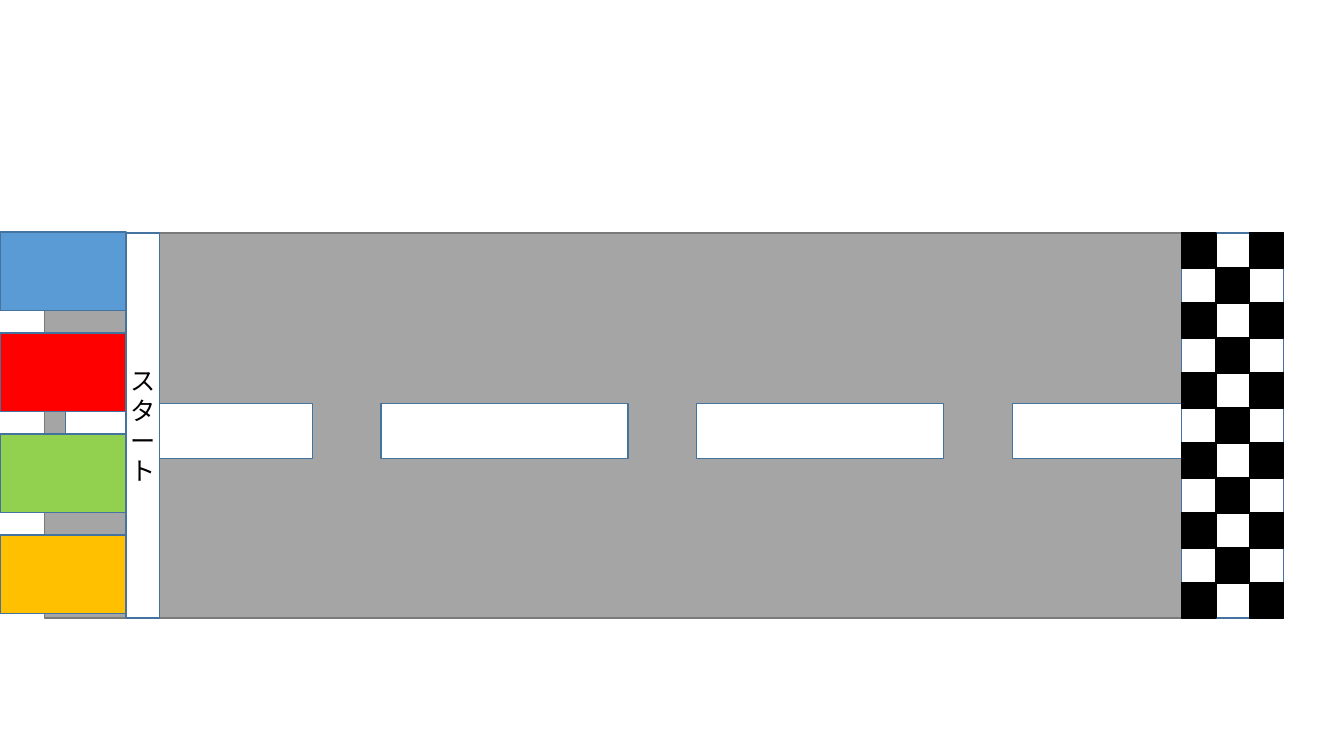
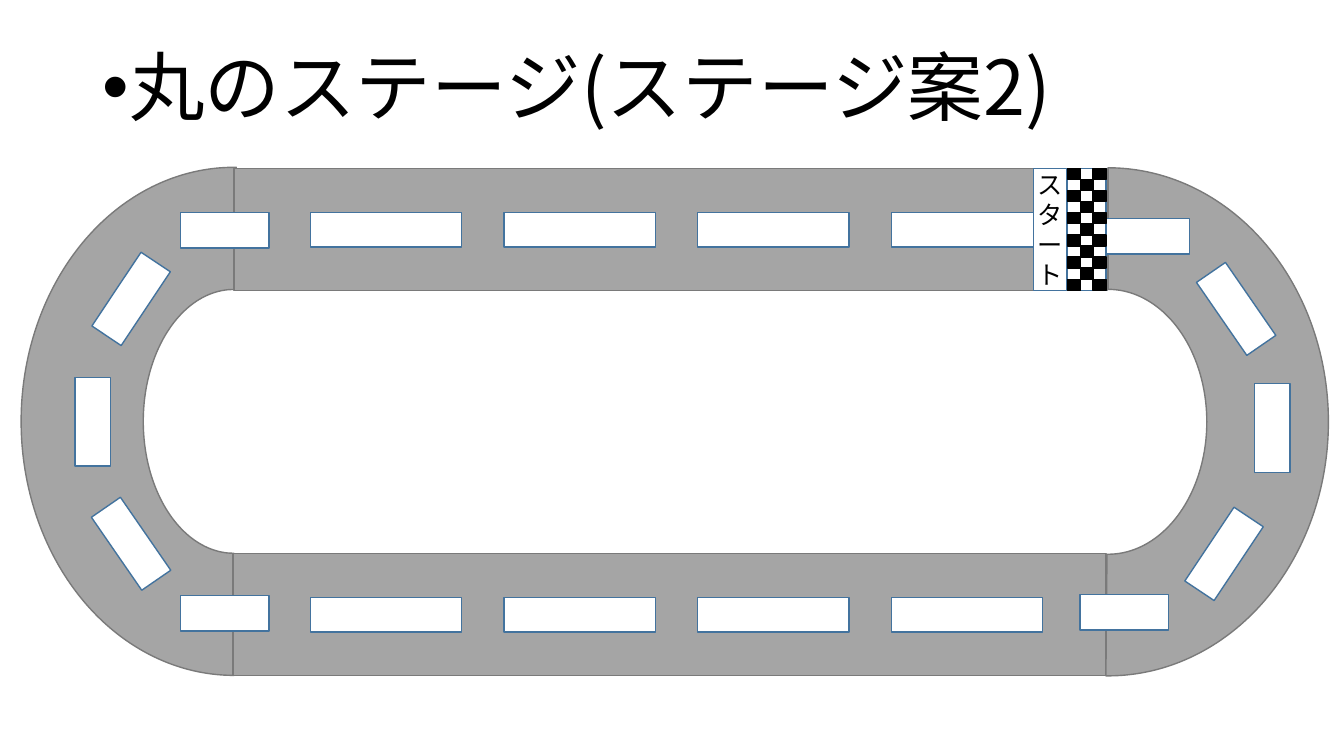
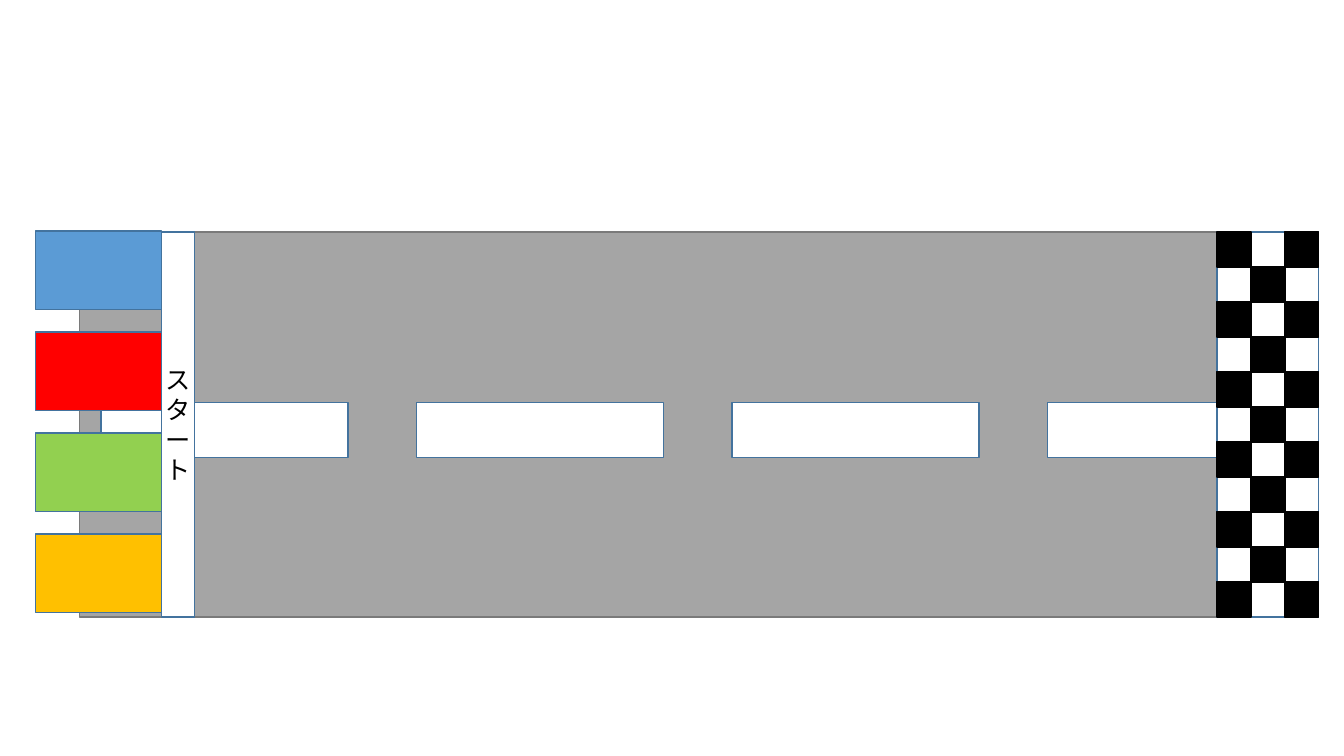
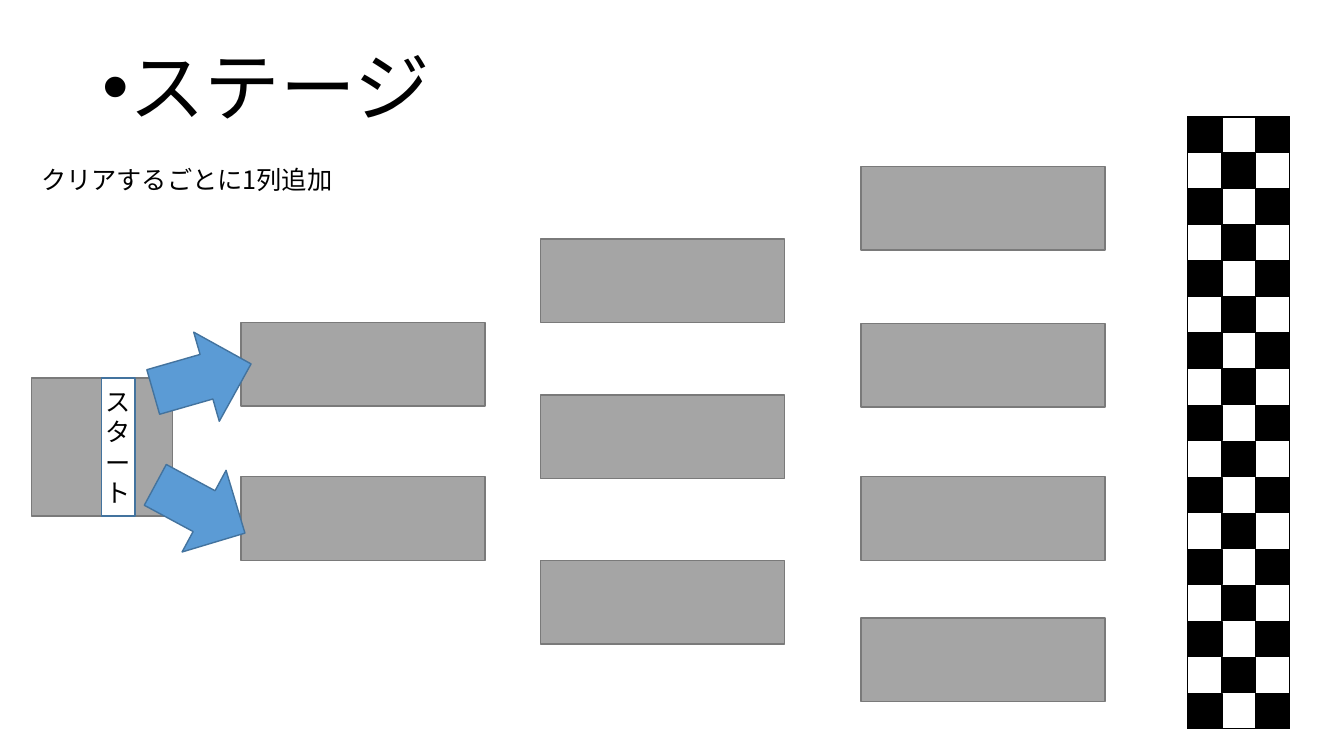
from dataclasses import dataclass
from typing import Any

from lxml import etree
from pptx import Presentation
from pptx.dml.color import RGBColor
from pptx.enum import shapes as kinds, text as txt
from pptx.oxml import ns
from pptx.util import Inches, Pt

FONT = "Noto Sans CJK JP"
HUES = {
    "road": "A5A5A5", "edge": "7A7A7A", "white": "FFFFFF", "black": "000000",
    "line": "43739E", "blue": "5B9BD5", "red": "FF0000", "green": "92D050",
    "gold": "FFC000",
}
KIND = kinds.MSO_SHAPE


@dataclass(frozen=True)
class Box:
    x: float
    y: float
    w: float
    h: float
    turn: float = 0

    def lens(self) -> list[int]:
        return [Inches(v) for v in (self.x, self.y, self.w, self.h)]


def hue(name: str) -> RGBColor:
    return RGBColor.from_string(HUES[name])


# Basic parts
def draw(pen: Any, box: Box, fill: str = "white", edge: str = "line",
         kind: Any = KIND.RECTANGLE, adj: tuple = ()) -> Any:
    shape = pen.add_shape(kind, *box.lens())
    shape.rotation = box.turn
    shape.shadow.inherit = False
    shape.fill.solid()
    shape.fill.fore_color.rgb = hue(fill)
    shape.line.color.rgb = hue(edge)
    shape.line.width = Pt(1)
    for i, value in enumerate(adj):
        shape.adjustments[i] = value
    return shape


def write(shape: Any, words: str, *, size: int = 18, mid: bool = False,
          bullet: bool = False) -> None:
    frame = shape.text_frame
    frame.word_wrap = True
    para = frame.paragraphs[0]
    if mid:
        # No insets, so that a narrow band holds a whole letter
        frame.margin_left = frame.margin_right = 0
        frame.margin_top = frame.margin_bottom = 0
        frame.vertical_anchor = txt.MSO_ANCHOR.MIDDLE
        para.alignment = txt.PP_ALIGN.CENTER
    run = para.add_run()
    run.text = words
    run.font.size = Pt(size)
    run.font.name = FONT
    run.font.color.rgb = hue("black")
    east = etree.SubElement(run.font._element, ns.qn("a:ea"))
    east.set("typeface", FONT)
    if bullet:
        para.line_spacing = 0.9
        para.space_before = Pt(10)
        props = para._p.get_or_add_pPr()
        props.set("marL", str(Inches(0.25)))
        props.set("indent", str(-Inches(0.25)))
        face = etree.SubElement(props, ns.qn("a:buFont"))
        face.set("typeface", "Arial")
        mark = etree.SubElement(props, ns.qn("a:buChar"))
        mark.set("char", "•")


def title(pen: Any, words: str) -> None:
    area = pen.add_textbox(*Box(0.92, 0.45, 11.5, 1.02).lens())
    write(area, words, size=54, bullet=True)


def road(pen: Any, box: Box) -> None:
    draw(pen, box, "road", "edge")


def start(pen: Any, x: float, y: float, h: float) -> None:
    write(draw(pen, Box(x, y, 0.33, h)), "スタート", mid=True)


def dashes(pen: Any, first: Box, step: float) -> None:
    for i in range(4):
        draw(pen, Box(first.x + i * step, first.y, first.w, first.h))


def flag(pen: Any, box: Box, rows: int, cw: float, ch: float,
         edge: str = "line") -> None:
    group = pen.add_group_shape().shapes
    draw(group, box, edge=edge)
    dx, dy = (box.w - cw) / 2, (box.h - ch) / (rows - 1)
    for row in range(rows):
        for col in range(row % 2, 3, 2):
            cell = Box(box.x + col * dx, box.y + row * dy, cw, ch)
            draw(group, cell, "black", "black")


# Slides
def race(pen: Any, x: float, y: float) -> None:
    """Straight track with four cars at the start."""
    road(pen, Box(x + 0.44, y, 12.29, 3.82))
    dashes(pen, Box(x + 0.65, y + 1.69, 2.45, 0.55), 3.13)
    flag(pen, Box(x + 11.72, y, 1.01, 3.82), 11, 0.34, 0.35)
    start(pen, x + 1.25, y, 3.82)
    for i, car in enumerate(("blue", "red", "green", "gold")):
        draw(pen, Box(x, y - 0.01 + i * 1.003, 1.25, 0.78), car)


def oval(pen: Any) -> None:
    """Round track."""
    arc = KIND.BLOCK_ARC
    draw(pen, Box(-0.2, 2.07, 5.04, 4.22, 270), "road", "edge", arc,
         (108, 0.309, 0.287))
    title(pen, "丸のステージ(ステージ案2)")
    road(pen, Box(2.32, 1.67, 8.66, 1.21))
    dashes(pen, Box(3.08, 2.11, 1.5, 0.34), 1.92)
    start(pen, 10.25, 1.67, 1.21)
    road(pen, Box(2.31, 5.49, 8.66, 1.21))
    draw(pen, Box(8.47, 2, 5.04, 4.37, 90), "road", "edge", arc,
         (108, 0.297, 0.276))
    dashes(pen, Box(3.08, 5.93, 1.5, 0.34), 1.92)
    # Dashes in the bends
    bends = (
        (10.92, 2.17, 0), (1.79, 2.11, 0), (1.79, 5.91, 0), (0.48, 4.01, 90),
        (0.86, 2.79, 123.7), (0.86, 5.22, 55.4), (10.71, 5.9, 0),
        (12.18, 4.07, 90), (11.7, 5.32, 123.7), (11.82, 2.89, 55.4),
    )
    for x, y, turn in bends:
        draw(pen, Box(x, y, 0.88, 0.35, turn))
    flag(pen, Box(10.59, 1.67, 0.38, 1.21), 11, 0.13, 0.11)


def steps(pen: Any) -> None:
    """Platforms that gain one column per level."""
    title(pen, "ステージ")
    road(pen, Box(0.31, 3.75, 1.4, 1.37))
    start(pen, 1.01, 3.75, 1.37)
    cols = {
        2.39: (3.2, 4.73),
        5.36: (2.37, 3.92, 5.56),
        8.54: (1.65, 3.21, 4.73, 6.13),
    }
    for x, tops in cols.items():
        for y in tops:
            road(pen, Box(x, y, 2.42, 0.83))
    for x, y, turn in ((1.5, 3.29, 344), (1.48, 4.59, 28.3)):
        draw(pen, Box(x, y, 1.01, 0.92, turn), "blue", kind=KIND.RIGHT_ARROW)
    note = pen.add_textbox(*Box(0.31, 1.58, 4.02, 0.4).lens())
    write(note, "クリアするごとに1列追加")
    flag(pen, Box(11.78, 1.16, 1.01, 6.07), 17, 0.34, 0.35, "black")


def main() -> None:
    deck = Presentation()
    deck.slide_width, deck.slide_height = Inches(13.33), Inches(7.5)
    pens = [deck.slides.add_slide(deck.slide_layouts[6]).shapes
            for _ in range(4)]
    race(pens[0], 0, 2.31)
    oval(pens[1])
    race(pens[2], 0.35, 2.3)
    steps(pens[3])
    deck.save("out.pptx")


if __name__ == "__main__":
    main()
